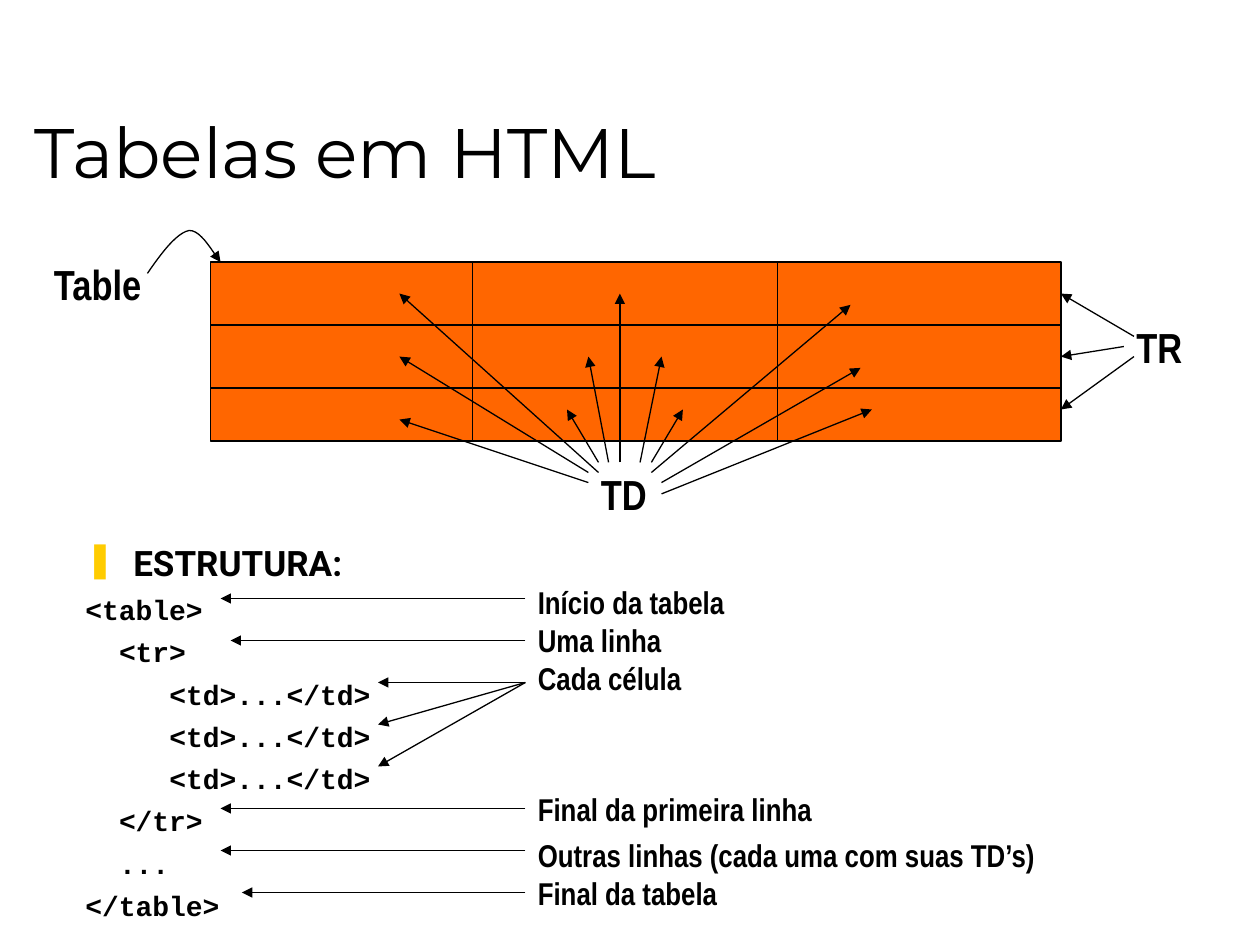
from lxml import etree
from pptx import Presentation
from pptx.dml.color import RGBColor
from pptx.enum import shapes, text
from pptx.oxml import ns
from pptx.util import Inches, Pt

COLORS = {"ink": "000000", "cells": "FF6600", "bullet": "FFCC00"}
NARROW = "Arial Narrow"
CHAR = 0.8 / 6  # width in inches of one 16 pt monospaced character


def color(name):
    return RGBColor.from_string(COLORS[name])


def style_line(item, arrow=False):
    item.line.color.rgb = color("ink")
    item.line.width = Pt(0.75)
    if arrow:
        etree.SubElement(item.line._get_or_add_ln(), ns.qn("a:tailEnd"), type="triangle")


def add_line(page, start, end, arrow=False):
    line = page.shapes.add_connector(
        shapes.MSO_CONNECTOR.STRAIGHT, *(Inches(v) for v in (*start, *end)))
    style_line(line, arrow)
    etree.SubElement(line._element.spPr, ns.qn("a:effectLst"))


def add_span(para, words, size, font, bold=True):
    span = para.add_run()
    span.text = words
    span.font.size = Pt(size)
    span.font.name = font
    span.font.bold = bold
    span.font.color.rgb = color("ink")


def add_box(page, left, top, width, height):
    box = page.shapes.add_textbox(*(Inches(v) for v in (left, top, width, height)))
    box.text_frame.word_wrap = True
    return box.text_frame


def add_label(page, words, left, top, width):
    frame = add_box(page, left, top, width, 0.5)
    add_span(frame.paragraphs[0], words, 24, NARROW)


def add_bullet(para):
    props = para._p.get_or_add_pPr()
    props.set("marL", str(Inches(0.38)))
    props.set("indent", str(-Inches(0.38)))
    tint = etree.SubElement(props, ns.qn("a:buClr"))
    etree.SubElement(tint, ns.qn("a:srgbClr"), val=COLORS["bullet"])
    etree.SubElement(props, ns.qn("a:buChar"), char="❚")


def add_title(page, left, top, width, height):
    title = page.shapes.title
    title.left, title.top = Inches(left), Inches(top)
    title.width, title.height = Inches(width), Inches(height)
    frame = title.text_frame
    frame.vertical_anchor = text.MSO_ANCHOR.BOTTOM
    para = frame.paragraphs[0]
    para.alignment = text.PP_ALIGN.LEFT
    add_span(para, "Tabelas em HTML", 40, "Montserrat", bold=False)


def add_curved_arrow(page, left, top):
    """Arrow along two joined Bézier arcs, drawn as short segments."""
    arcs = [[(0, 0.35), (0.11, 0.19), (0.23, 0.03), (0.33, 0.01)],
            [(0.33, 0.01), (0.43, 0), (0.54, 0.22), (0.58, 0.26)]]
    steps = 12
    points = []
    for arc in arcs:
        for step in range(steps + 1):
            t = step / steps
            weights = ((1 - t) ** 3, 3 * t * (1 - t) ** 2, 3 * t * t * (1 - t), t ** 3)
            x, y = (sum(w * p[axis] for w, p in zip(weights, arc)) for axis in (0, 1))
            points.append((Inches(left + x), Inches(top + y)))
    builder = page.shapes.build_freeform(*points[0])
    builder.add_line_segments(points[1:], close=False)
    curve = builder.convert_to_shape()
    curve.shadow.inherit = False
    curve.fill.background()
    style_line(curve, arrow=True)


def add_table_diagram(page, left, top, width, height):
    """Grid of cells with the Table, TR and TD labels pointing at its parts."""
    def at(x, y):
        return left + x, top + y

    grid = page.shapes.add_shape(
        shapes.MSO_SHAPE.RECTANGLE, *(Inches(v) for v in (left, top, width, height)))
    grid.shadow.inherit = False
    grid.fill.solid()
    grid.fill.fore_color.rgb = color("cells")
    style_line(grid)
    for x in (2.08, 4.5):
        add_line(page, at(x, 0), at(x, height))
    for y in (0.5, 1):
        add_line(page, at(0, y), at(width, y))

    add_label(page, "Table", *at(-1.34, -0.08), 1)
    add_curved_arrow(page, *at(-0.5, -0.26))

    add_label(page, "TR", *at(7.25, 0.42), 0.92)
    for start, row_y in [((7.33, 0.59), 0.25), ((7.25, 0.67), 0.75), ((7.33, 0.75), 1.17)]:
        add_line(page, at(*start), at(width, row_y), arrow=True)

    add_label(page, "TD", *at(3, 1.59), 0.67)
    cell_arrows = [
        ((3.08, 1.67), (1.5, 0.25)), ((3, 1.67), (1.5, 0.75)), ((3, 1.75), (1.5, 1.25)),
        ((3.08, 1.59), (2.83, 1.17)), ((3.16, 1.59), (3, 0.75)), ((3.25, 1.59), (3.25, 0.25)),
        ((3.41, 1.59), (3.58, 0.75)), ((3.5, 1.59), (3.75, 1.17)),
        ((3.5, 1.67), (5.08, 0.34)), ((3.58, 1.75), (5.16, 0.84)), ((3.58, 1.84), (5.25, 1.17)),
    ]
    for start, end in cell_arrows:
        add_line(page, at(*start), at(*end), arrow=True)


def add_code(page, left, top, width, height):
    frame = add_box(page, left, top, width, height)
    heading = frame.paragraphs[0]
    add_bullet(heading)
    add_span(heading, "ESTRUTURA:", 20, "Roboto")
    cell = (5, "<td>...</td>")
    rows = [(0, "<table>"), (2, "<tr>"), cell, cell, cell,
            (2, "</tr>"), (2, "..."), (0, "</table>")]
    for indent, code in rows:
        para = frame.add_paragraph()
        para.space_before = Pt(5)
        para._p.get_or_add_pPr().set("marL", str(Inches(indent * CHAR)))
        add_span(para, code, 16, "Courier New")


def add_explanations(page, left, top, width, height):
    """Notes on the code, each with arrows running left to its line."""
    frame = add_box(page, left, top, width, height)
    notes = [("Início da tabela", 0), ("Uma linha", 0), ("Cada célula", 0),
             ("Final da primeira linha", 53.5),
             ("Outras linhas (cada uma com suas TD’s)", 4.5), ("Final da tabela", 0)]
    for index, (words, gap) in enumerate(notes):
        para = frame.add_paragraph() if index else frame.paragraphs[0]
        para.space_before = Pt(gap)
        add_span(para, words, 18, NARROW)

    # Code line each arrow starts beside, code line it points at, tip position
    pitch = 1 / 3
    arrows = [(0, 0, 1.75), (1, 1, 1.83), (2, 2, 3), (2, 3, 3), (2, 4, 3),
              (5, 5, 1.75), (6, 6, 1.75), (7, 7, 1.92)]
    for source, target, tip in arrows:
        add_line(page, (left, top + 0.17 + source * pitch),
                 (tip, top + 0.17 + target * pitch), arrow=True)


def main():
    deck = Presentation()
    deck.slide_width, deck.slide_height = Inches(10), Inches(7.5)
    page = deck.slides.add_slide(deck.slide_layouts[5])
    add_title(page, 0.17, 0.5, 9.75, 1.08)
    add_code(page, 0.58, 4.25, 3.33, 3.08)
    add_table_diagram(page, 1.67, 2.08, 6.75, 1.42)
    add_explanations(page, 4.17, 4.58, 5.42, 2.72)
    deck.save("out.pptx")


if __name__ == "__main__":
    main()
